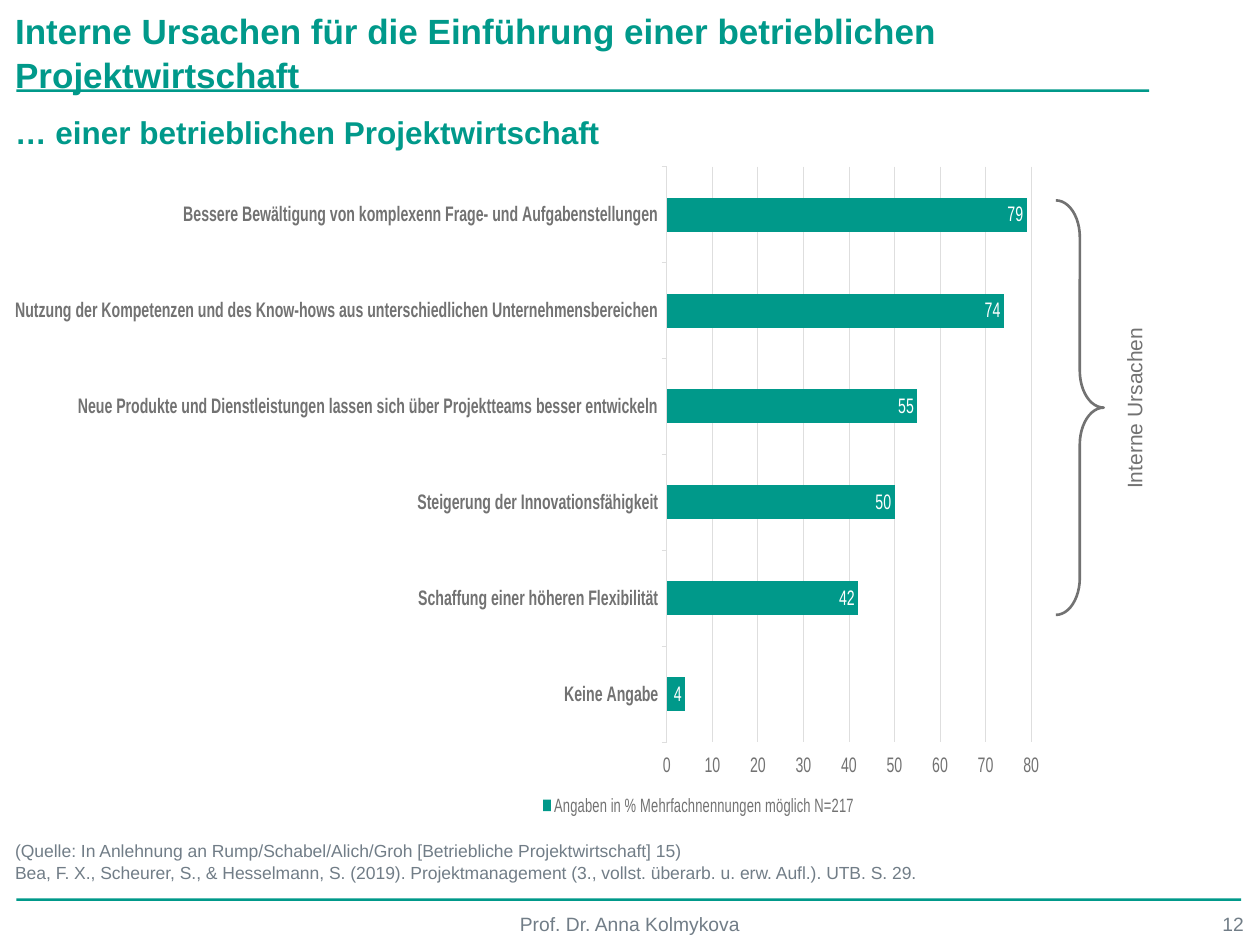
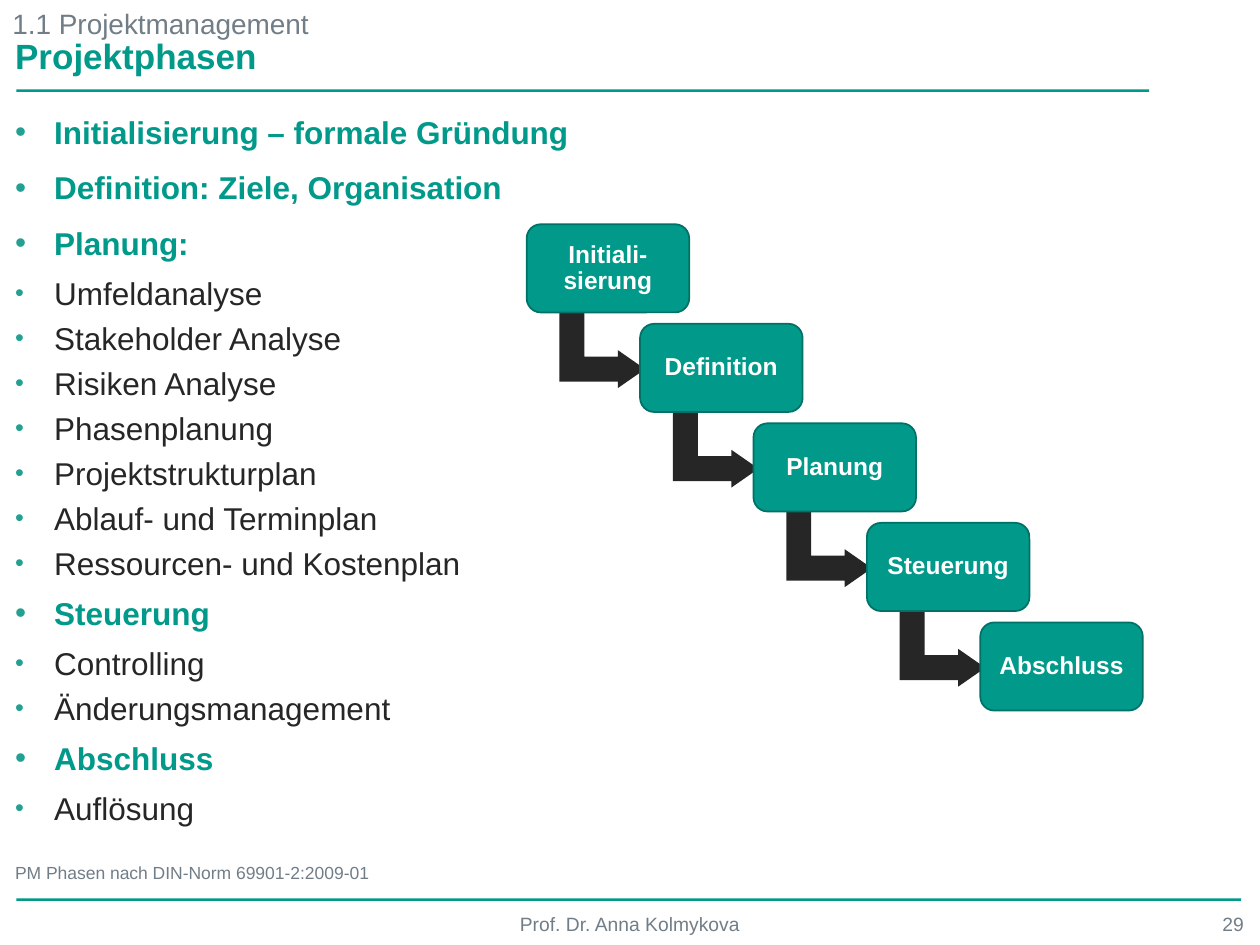
from lxml.etree import SubElement
from pptx import Presentation
from pptx.chart.data import CategoryChartData
from pptx.dml.color import RGBColor
from pptx.enum.chart import XL_CHART_TYPE, XL_LABEL_POSITION, XL_LEGEND_POSITION, XL_TICK_MARK
from pptx.enum.shapes import MSO_SHAPE
from pptx.enum.text import MSO_ANCHOR, MSO_AUTO_SIZE, PP_ALIGN
from pptx.oxml import parse_xml
from pptx.oxml.ns import nsdecls, qn
from pptx.util import Inches, Pt

TEAL, EDGE, BULLET = "00998A", "007166", "23A092"
INK, GREY, SLATE, GRID, WHITE = "262626", "727272", "717D87", "DEDEDE", "FFFFFF"
LEAD = 1.05  # line spacing of titles, lists and sources
rgb = RGBColor.from_string


def style(font, size, color, bold=False):
    for key, value in dict(name="Arial", size=Pt(size), bold=bold).items():
        setattr(font, key, value)
    font.color.rgb = rgb(color)


def write(shape, box, text, size, color, bold=False, align=PP_ALIGN.LEFT,
          anchor=MSO_ANCHOR.TOP, inset=(0.1, 0.05, 0.1, 0.05), lead=1.0):
    """Place a text shape and fill it, one paragraph for each line of text."""
    frame = shape.text_frame
    for key, value in zip(("left", "top", "width", "height"), box):
        setattr(shape, key, Inches(value))
    for side, value in zip(("left", "top", "right", "bottom"), inset):
        setattr(frame, f"margin_{side}", Inches(value))
    look = dict(word_wrap=True, auto_size=MSO_AUTO_SIZE.NONE, vertical_anchor=anchor, text=text)
    for key, value in look.items():
        setattr(frame, key, value)
    for par in frame.paragraphs:
        for key, value in dict(alignment=align, line_spacing=lead, space_before=Pt(0)).items():
            setattr(par, key, value)
        style(par.font, size, color, bold)


deck = Presentation()
deck.slide_width, deck.slide_height = Inches(10), Inches(7.5)

# Title, title box, list of (level, text), bullets on or off, source, page number
pages = [
    ("Interne Ursachen für die Einführung einer betrieblichen Projektwirtschaft",
     (0.02, 0.01, 9.12, 0.69),
     [(0, "… einer betrieblichen Projektwirtschaft")], False,
     "(Quelle: In Anlehnung an Rump/Schabel/Alich/Groh [Betriebliche Projektwirtschaft] 15)\n"
     "Bea, F. X., Scheurer, S., & Hesselmann, S. (2019). Projektmanagement "
     "(3., vollst. überarb. u. erw. Aufl.). UTB. S. 29.", "12"),
    ("Projektphasen", (0.02, 0.21, 9.12, 0.39),
     [(0, "Initialisierung – formale Gründung"),
      (0, "Definition: Ziele, Organisation"),
      (0, "Planung:"),
      (1, "Umfeldanalyse"),
      (1, "Stakeholder Analyse"),
      (1, "Risiken Analyse"),
      (1, "Phasenplanung"),
      (1, "Projektstrukturplan"),
      (1, "Ablauf- und Terminplan"),
      (1, "Ressourcen- und Kostenplan"),
      (0, "Steuerung"),
      (1, "Controlling"),
      (1, "Änderungsmanagement"),
      (0, "Abschluss"),
      (1, "Auflösung")], True,
     "PM Phasen nach DIN-Norm 69901-2:2009-01", "29"),
]

for title, spot, items, dots, source, number in pages:
    slide = deck.slides.add_slide(deck.slide_layouts[1])
    shapes = slide.shapes
    for top, width in ((7.13, 9.72), (0.71, 8.99)):
        rule = shapes.add_shape(MSO_SHAPE.RECTANGLE, Inches(0.13), Inches(top),
                                Inches(width), Inches(0.02))
        rule.shadow.inherit = False
        rule.fill.solid()
        rule.fill.fore_color.rgb = rgb(TEAL)
        rule.line.fill.background()

    write(shapes.title, spot, title, 20, TEAL, True, lead=LEAD)
    body = slide.placeholders[1]
    write(body, (0.12, 0.88, 9.13, 6.15), "\n".join(text for _, text in items),
          18, TEAL, True, inset=(0, 0, 0, 0), lead=LEAD)
    for at, (par, (level, _)) in enumerate(zip(body.text_frame.paragraphs, items)):
        props = par._p.get_or_add_pPr()
        hang = Inches(0.31) if dots else 0
        props.set("marL", str(hang))
        props.set("indent", str(-hang))
        # Bullet elements belong after the spacing and before the font
        font = props.find(qn("a:defRPr"))
        props.remove(font)
        par.level = level
        par.space_before = Pt(3 if at and not level else 0)
        par.space_after = Pt(3 if level else 6)
        if dots:
            tint = SubElement(props, qn("a:buClr"))
            SubElement(tint, qn("a:srgbClr"), val=BULLET)
            SubElement(props, qn("a:buSzPct"), val="80000" if level else "100000")
            SubElement(props, qn("a:buFont"), typeface="Arial")
            SubElement(props, qn("a:buChar"), char="•")
        else:
            SubElement(props, qn("a:buNone"))
        props.append(font)
        for run in par.runs:
            style(run.font, 18, INK if level else TEAL, not level)

    for box, text, size, look in (
        ((0.12, 6.69, 9.13, 0.32), source, 10,
         dict(anchor=MSO_ANCHOR.BOTTOM, inset=(0, 0.05, 0, 0), lead=LEAD)),
        ((1.96, 7.19, 6.08, 0.31), "Prof. Dr. Anna Kolmykova", 11, dict(align=PP_ALIGN.CENTER)),
        ((8.3, 7.19, 1.67, 0.31), number, 11, dict(align=PP_ALIGN.RIGHT)),
    ):
        write(shapes.add_textbox(0, 0, 0, 0), box, text, size, SLATE, **look)

causes, phases = deck.slides

# Bar chart of the internal causes
data = CategoryChartData()
data.categories = [
    "Keine Angabe",
    "Schaffung einer höheren Flexibilität",
    "Steigerung der Innovationsfähigkeit",
    "Neue Produkte und Dienstleistungen lassen sich über Projektteams besser entwickeln",
    "Nutzung der Kompetenzen und des Know-hows aus unterschiedlichen Unternehmensbereichen",
    "Bessere Bewältigung von komplexenn Frage- und Aufgabenstellungen",
]
data.add_series("Angaben in % Mehrfachnennungen möglich N=217", (4, 42, 50, 55, 74, 79))
chart = causes.shapes.add_chart(XL_CHART_TYPE.BAR_CLUSTERED, Inches(0.12), Inches(1.19),
                                Inches(8.18), Inches(5.33), data).chart
style(chart.font, 10, INK)
chart.has_title = False
chart.has_legend = True
chart.legend.position = XL_LEGEND_POSITION.BOTTOM
chart.legend.include_in_layout = False
style(chart.legend.font, 11, GREY)

names, scale = chart.category_axis, chart.value_axis
for axis, bold in ((names, True), (scale, False)):
    style(axis.tick_labels.font, 12, GREY, bold)
    axis.major_tick_mark = XL_TICK_MARK.OUTSIDE
    axis.minor_tick_mark = XL_TICK_MARK.NONE
    turn = axis._element.find(qn("c:txPr")).find(qn("a:bodyPr"))
    turn.set("rot", "-60000000")
    turn.set("vert", "horz")
for key, value in dict(minimum_scale=0, maximum_scale=80, major_unit=10,
                       has_major_gridlines=True).items():
    setattr(scale, key, value)
scale.format.line.fill.background()
for line in (names.format.line, scale.major_gridlines.format.line):
    line.color.rgb = rgb(GRID)
    line.width = Pt(0.75)

plot = chart.plots[0]
plot.gap_width = 182
plot.vary_by_categories = False
bars = plot.series[0].format.fill
bars.solid()
bars.fore_color.rgb = rgb(TEAL)
plot.has_data_labels = True
labels = plot.data_labels
labels.show_value = True
labels.position = XL_LABEL_POSITION.INSIDE_END
style(labels.font, 12, WHITE)

area = plot._element.getparent()
for old in area.findall(qn("c:layout")):
    area.remove(old)
area.insert(0, parse_xml(
    f'<c:layout {nsdecls("c")}><c:manualLayout><c:layoutTarget val="inner"/>'
    '<c:xMode val="edge"/><c:yMode val="edge"/><c:x val="0.454"/><c:y val="0.025"/>'
    '<c:w val="0.525"/><c:h val="0.857"/></c:manualLayout></c:layout>'))

brace = causes.shapes.add_shape(MSO_SHAPE.RIGHT_BRACE, Inches(8.38), Inches(1.59),
                                Inches(0.38), Inches(3.29))
brace.shadow.inherit = False
brace.adjustments[0], brace.adjustments[1] = 0.77, 0.5
brace.fill.background()
brace.line.color.rgb = rgb(GREY)
brace.line.width = Pt(1.5)
note = causes.shapes.add_textbox(0, 0, 0, 0)
write(note, (8.24, 3.1, 1.52, 0.28), "Interne Ursachen", 12, GREY,
      align=PP_ALIGN.CENTER, inset=(0, 0.04, 0, 0.04))
note.rotation = 270

# Staircase of project phases
steps = ["Initiali-sierung", "Definition", "Planung", "Steuerung", "Abschluss"]
for at, step in enumerate(steps):
    left, top = 4.18 + 0.9 * at, 1.78 + 0.79 * at
    if at < len(steps) - 1:
        arrow = phases.shapes.add_shape(MSO_SHAPE.BENT_UP_ARROW, Inches(left + 0.3),
                                        Inches(top + 0.66), Inches(0.6), Inches(0.68))
        arrow.rotation = 90
        arrow.shadow.inherit = False
        for spot, value in enumerate((0.33, 0.25, 0.36)):
            arrow.adjustments[spot] = value
        arrow.fill.solid()
        arrow.fill.fore_color.rgb = rgb(INK)
        arrow.line.fill.background()
    card = phases.shapes.add_shape(MSO_SHAPE.ROUNDED_RECTANGLE, 0, 0, 0, 0)
    write(card, (left, top, 1.29, 0.7), step, 14, WHITE, True, PP_ALIGN.CENTER,
          MSO_ANCHOR.MIDDLE, (0.06, 0.06, 0.06, 0.06), 0.9)
    card.shadow.inherit = False
    card.adjustments[0] = 0.16
    card.fill.solid()
    card.fill.fore_color.rgb = rgb(TEAL)
    card.line.color.rgb = rgb(EDGE)
    card.line.width = Pt(1)

write(phases.shapes.add_textbox(0, 0, 0, 0), (0, 0, 5.03, 0.37),
      "1.1 Projektmanagement", 16, SLATE)

deck.save("out.pptx")
